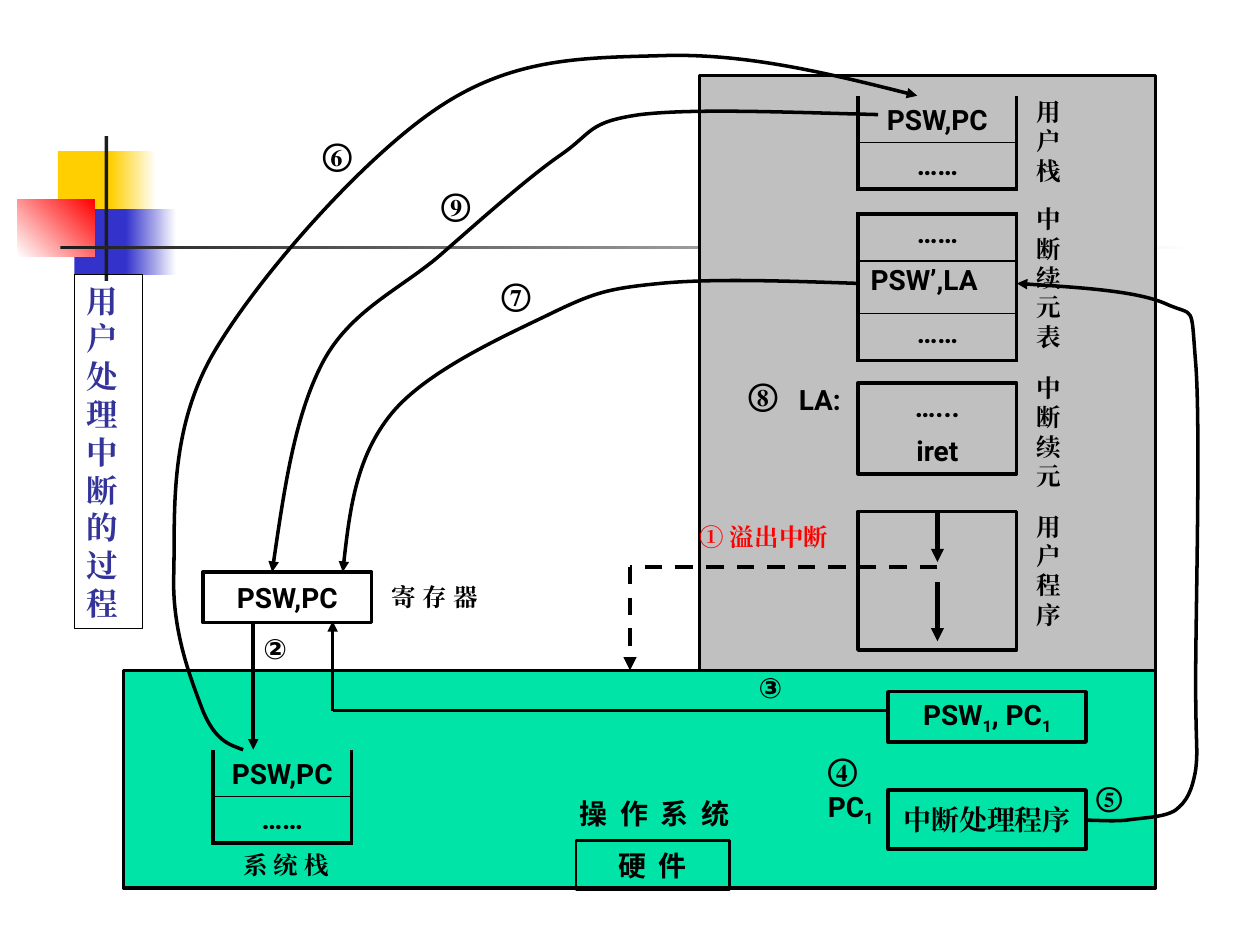
from dataclasses import dataclass
from typing import Any

from lxml.etree import SubElement
from pptx import Presentation
from pptx.dml.color import RGBColor
from pptx.enum.dml import MSO_LINE
from pptx.enum.shapes import MSO_CONNECTOR, MSO_SHAPE
from pptx.enum.text import MSO_ANCHOR, PP_ALIGN
from pptx.oxml.ns import qn
from pptx.util import Inches, Pt

COLORS = {
    "black": "000000", "white": "FFFFFF", "ink": "1C1C1C", "red": "FF0000",
    "yellow": "FFCF01", "blue": "3333CC", "title": "333399",
    "user": "C0C0C0", "system": "00E4A8",
}
SERIF, SANS, CJK = "Times New Roman", "Roboto", "Noto Sans CJK SC"
NO_TABLE_STYLE = "{2D5ABB26-0587-4C30-8999-92F81FD0307C}"
DOTS = "……"
ROW = 0.37


def rgb(name):
    return RGBColor.from_string(COLORS[name])


def write(frame, text, size=16, font=SANS, color="black", align=PP_ALIGN.CENTER, gap=0):
    """Fill a text frame; an underscore lowers the character after it."""
    for index, line in enumerate(text.split("\n")):
        paragraph = frame.paragraphs[0] if index == 0 else frame.add_paragraph()
        paragraph.alignment = align
        paragraph.space_before = Pt(gap if index else 0)
        paragraph.font.size, paragraph.font.bold = Pt(size), True
        paragraph.font.name = font
        paragraph.font.color.rgb = rgb(color)
        SubElement(paragraph.font._element, qn("a:ea"), typeface=font)
        head, *lowered = line.split("_")
        paragraph.add_run().text = head
        for part in lowered:
            subscript = paragraph.add_run()
            subscript.text = part[0]
            subscript.font._element.set("baseline", "-25000")
            if part[1:]:
                paragraph.add_run().text = part[1:]


def add_arrowhead(shape):
    SubElement(shape.line._get_or_add_ln(), qn("a:tailEnd"), type="triangle")


def set_border(cell, side, width):
    border = SubElement(cell._tc.get_or_add_tcPr(), qn(f"a:ln{side}"), w=str(Pt(width)))
    fill = SubElement(border, qn("a:solidFill"))
    SubElement(fill, qn("a:srgbClr"), val=COLORS["black"])


@dataclass
class Region:
    """Part of the slide whose contents are placed from its top left corner."""
    slide: Any
    left: float
    top: float

    def place(self, x, y):
        return Inches(self.left + x), Inches(self.top + y)

    def box(self, x, y, width, height, fill=None, line=2, text=None, **style):
        shape = self.slide.shapes.add_shape(
            MSO_SHAPE.RECTANGLE, *self.place(x, y), Inches(width), Inches(height))
        shape.shadow.inherit = False
        if isinstance(fill, tuple):
            shape.fill.gradient()
            for stop, color in zip(shape.fill.gradient_stops, fill):
                stop.color.rgb = rgb(color)
            shape.fill.gradient_angle = 0
        elif fill:
            shape.fill.solid()
            shape.fill.fore_color.rgb = rgb(fill)
        else:
            shape.fill.background()
        if line:
            shape.line.color.rgb = rgb("black")
            shape.line.width = Pt(line)
        else:
            shape.line.fill.background()
        if text:
            frame = shape.text_frame
            frame.vertical_anchor = MSO_ANCHOR.MIDDLE
            frame.margin_top = frame.margin_bottom = 0
            write(frame, text, **style)
        return shape

    def label(self, x, y, width, height, text, align=PP_ALIGN.LEFT, **style):
        frame = self.slide.shapes.add_textbox(
            *self.place(x, y), Inches(width), Inches(height)).text_frame
        frame.word_wrap = True
        frame.margin_left = frame.margin_right = frame.margin_top = frame.margin_bottom = 0
        write(frame, text, align=align, **style)

    def step(self, x, y, number, size=18, font=SERIF):
        self.label(x, y, 0.31, 0.3, number, size=size, font=font)

    def line(self, start, end, width=2, dashed=False, arrow=True):
        connector = self.slide.shapes.add_connector(
            MSO_CONNECTOR.STRAIGHT, *self.place(*start), *self.place(*end))
        connector.line.color.rgb = rgb("black")
        connector.line.width = Pt(width)
        if dashed:
            connector.line.dash_style = MSO_LINE.DASH
        if arrow:
            add_arrowhead(connector)
        SubElement(connector._element.spPr, qn("a:effectLst"))

    def curve(self, start, *points):
        """Draw an arrow of cubic curves, with three points for each."""
        builder = self.slide.shapes.build_freeform(*self.place(*start))
        builder.add_line_segments([self.place(*point) for point in points], close=False)
        shape = builder.convert_to_shape()
        shape.shadow.inherit = False
        shape.fill.background()
        shape.line.color.rgb = rgb("black")
        shape.line.width = Pt(2)
        add_arrowhead(shape)
        outline = next(shape._element.iter(qn("a:path")))
        segments = outline.findall(qn("a:lnTo"))
        for index in range(0, len(segments), 3):
            cubic = SubElement(outline, qn("a:cubicBezTo"))
            for segment in segments[index:index + 3]:
                cubic.append(segment[0])
                outline.remove(segment)

    def table(self, x, y, width, rows, heights, open_top=False, anchor=MSO_ANCHOR.MIDDLE):
        table = self.slide.shapes.add_table(
            len(rows), 1, *self.place(x, y), Inches(width), Inches(sum(heights))).table
        table.first_row = table.horz_banding = False
        table._tbl.tblPr.find(qn("a:tableStyleId")).text = NO_TABLE_STYLE
        for index, (text, height) in enumerate(zip(rows, heights)):
            table.rows[index].height = Inches(height)
            cell = table.cell(index, 0)
            cell.margin_top = cell.margin_bottom = Inches(0.03)
            cell.vertical_anchor = anchor
            for side in "LR":
                set_border(cell, side, 2.25)
            if index or not open_top:
                set_border(cell, "T", 1 if index else 2.25)
            set_border(cell, "B", 2.25 if index == len(rows) - 1 else 1)
            cell.fill.background()
            if text:
                align = PP_ALIGN.CENTER if text == DOTS else PP_ALIGN.LEFT
                write(cell.text_frame, text, align=align)

    def stack(self, x, y, width):
        self.table(x, y, width, ["", DOTS], [ROW, ROW], open_top=True)
        self.box(x, y, width, ROW, line=None, text="PSW,PC")


def draw_decoration(slide, left, top):
    region = Region(slide, left, top)
    for x, y, width, height, fill in [
        (0.32, 0.12, 0.48, 0.52, "yellow"), (0.74, 0.12, 0.36, 0.52, ("yellow", "white")),
        (0.45, 0.58, 0.46, 0.52, "blue"), (0.86, 0.58, 0.4, 0.52, ("blue", "white")),
    ]:
        region.box(x, y, width, height, fill, line=None)
    red = region.box(0, 0.5, 0.61, 0.46, ("white", "red"), line=None)
    red.fill.gradient_angle = 45
    region.box(0.69, 0, 0.03, 1.15, "ink", line=None)
    region.box(0.34, 0.87, 9, 0.03, ("ink", "white"), line=None)


def draw_user_space(slide, left, top):
    region = Region(slide, left, top)
    column, width = 1.26, 1.26
    region.box(0, 0, 3.62, 4.72, "user")
    region.stack(column, 0.16, width)
    region.table(column, 1.1, width, [DOTS, "PSW’,LA", DOTS], [ROW, 0.42, ROW],
                 anchor=MSO_ANCHOR.TOP)
    region.box(column, 2.44, width, 0.72, text="…...\niret", gap=6)
    region.box(column, 3.46, width, 1.1)
    for y, name in [(0.17, "用\n户\n栈"), (1.02, "中断续元表"),
                    (2.36, "中断续元"), (3.46, "用\n户\n程\n序")]:
        region.label(2.68, y, 0.31, 0.23 * len(name.replace("\n", "")), name,
                     size=14, font=SERIF)
    region.label(0.79, 2.44, 0.39, 0.27, "LA:")
    region.step(0.39, 2.38, "⑧")
    middle = column + width / 2
    region.line((middle, 3.46), (middle, 3.86), 2.5)
    region.line((middle, 4.02), (middle, 4.49), 2.5)


def draw_operating_system(slide, left, top):
    region = Region(slide, left, top)
    region.box(0, 0, 8.19, 1.73, "system")
    region.box(3.59, 1.35, 1.22, 0.39, line=1.5, text="硬  件", font=CJK)
    region.label(3.23, 1, 1.97, 0.27, "操  作  系  统", align=PP_ALIGN.CENTER, font=CJK)
    region.box(6.07, 0.17, 1.57, 0.4, text="PSW_1, PC_1")
    region.box(6.07, 0.95, 1.57, 0.47, text="中断处理程序", font=SERIF)
    region.label(5.59, 0.95, 0.47, 0.27, "PC_1")
    region.step(5.59, 0.63, "④")
    region.stack(0.71, 0.63, 1.1)
    region.label(0.95, 1.43, 0.71, 0.23, "系 统 栈", size=14, font=SERIF)


def draw_registers(slide, left, top):
    region = Region(slide, left, top)
    region.box(0, 0, 1.34, 0.4, text="PSW,PC")
    region.label(1.5, 0.08, 0.71, 0.23, "寄 存 器", size=14, font=SERIF)


def draw_flow(slide, left, top):
    """Draw the numbered steps that link the regions."""
    region = Region(slide, left, top)
    region.line((7.44, 4.5), (5, 4.5), 2.5, dashed=True, arrow=False)
    region.line((5, 4.5), (5, 5.32), 2.5, dashed=True)
    region.label(5.55, 4.14, 1.18, 0.23, "① 溢出中断", size=14, font=SERIF, color="red")
    region.step(2.09, 5.01, "②", 16, SANS)
    region.line((2.01, 4.93), (2.01, 5.95))
    region.step(6.02, 5.32, "③", 16, SANS)
    region.line((7.05, 5.64), (2.64, 5.64), arrow=False)
    region.line((2.64, 5.64), (2.64, 4.93))
    region.step(8.7, 6.19, "⑤", 16)
    region.curve((8.62, 6.51), (8.72, 6.51), (8.82, 6.52), (8.94, 6.51),
                 (9.06, 6.49), (9.24, 6.49), (9.33, 6.43), (9.42, 6.36), (9.46, 6.28),
                 (9.49, 6.11), (9.51, 5.94), (9.49, 5.94), (9.49, 5.4),
                 (9.49, 4.87), (9.53, 3.38), (9.49, 2.88), (9.45, 2.39), (9.49, 2.52),
                 (9.25, 2.41), (9.02, 2.31), (8.54, 2.28), (8.07, 2.25))
    region.step(2.56, 1.07, "⑥")
    region.curve((1.93, 5.95), (1.82, 5.91), (1.71, 5.88), (1.61, 5.64),
                 (1.52, 5.4), (1.36, 5.01), (1.38, 4.54), (1.39, 4.07), (1.34, 3.42),
                 (1.69, 2.81), (2.05, 2.19), (2.9, 1.23), (3.5, 0.84),
                 (4.11, 0.44), (4.68, 0.46), (5.31, 0.44), (5.94, 0.43), (6.61, 0.59),
                 (7.28, 0.76))
    region.step(3.98, 2.18, "⑦")
    region.curve((6.81, 2.25), (6.23, 2.23), (5.64, 2.21), (5.24, 2.25),
                 (4.83, 2.29), (4.72, 2.32), (4.37, 2.49), (4.02, 2.66), (3.39, 2.94),
                 (3.11, 3.28), (2.83, 3.62), (2.77, 4.08), (2.72, 4.54))
    region.step(3.5, 1.47, "⑨")
    region.curve((6.97, 0.91), (6.23, 0.89), (5.5, 0.86), (5.08, 0.91),
                 (4.66, 0.97), (4.71, 1.05), (4.45, 1.23), (4.19, 1.41), (3.82, 1.74),
                 (3.5, 2.02), (3.19, 2.29), (2.78, 2.46), (2.56, 2.88),
                 (2.34, 3.3), (2.25, 3.92), (2.16, 4.54))


def draw_title(slide, left, top):
    Region(slide, left, top).box(
        0, 0, 0.54, 2.81, line=0.75, text="\n".join("用户处理中断的过程"), size=18,
        font=SERIF, color="title", align=PP_ALIGN.LEFT)


presentation = Presentation()
presentation.slide_width, presentation.slide_height = Inches(10), Inches(7.5)
slide = presentation.slides.add_slide(presentation.slide_layouts[6])
draw_decoration(slide, 0.14, 1.08)
draw_user_space(slide, 5.55, 0.6)
draw_operating_system(slide, 0.98, 5.32)
draw_registers(slide, 1.61, 4.54)
draw_title(slide, 0.59, 2.18)
draw_flow(slide, 0, 0)
presentation.save("out.pptx")
